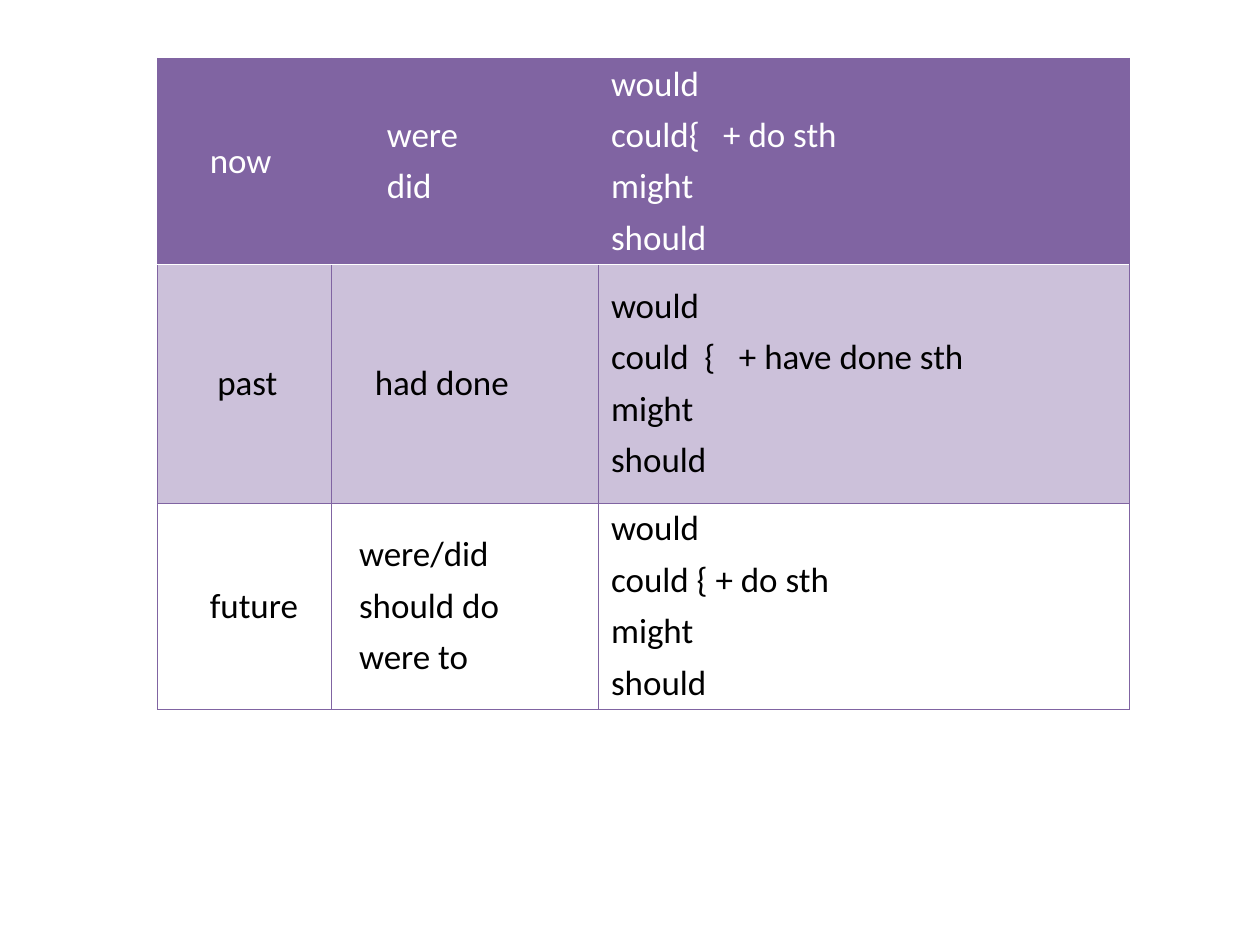
from lxml.etree import SubElement
from pptx import Presentation
from pptx.dml.color import RGBColor
from pptx.enum.text import MSO_ANCHOR, PP_ALIGN
from pptx.oxml.ns import qn
from pptx.util import Inches, Pt

# Content: each cell is (left indent, tab stops, lines)
PURPLE, LILAC, WHITE, BLACK = "8064A2", "CCC1DA", "FFFFFF", "000000"
CONDITIONALS = [
    [(0.63, [], ["now"]),
     (0.69, [], ["were", "did"]),
     (0, [1.78], ["would", "could{\t+ do sth", "might", "should"])],
    [(0.75, [], ["past"]),
     (0.5, [], ["had done"]),
     (0, [1.48, 2.03], ["would", "could\t{\t+ have done sth", "might", "should"])],
    [(0.63, [], ["future"]),
     (0.25, [], ["were/did", "should do", "were to"]),
     (0, [], ["would", "could { + do sth", "might", "should"])],
]
COLUMN_WIDTHS = [2.75, 4.25, 6.48, 1.94]
ROW_HEIGHTS = [3.28, 3.78, 3.28]
THIN, THICK = (PURPLE, 0.45), (WHITE, 1.47)
# Row look: fill, text colour, top border, bottom border
ROW_LOOKS = [(PURPLE, WHITE, THIN, THICK), (LILAC, BLACK, THICK, THIN), (None, BLACK, THIN, THIN)]
CELL_FORMAT = {
    "vertical_anchor": MSO_ANCHOR.MIDDLE,
    "margin_left": Inches(0.2), "margin_right": Inches(0.2),
    "margin_top": Inches(0.05), "margin_bottom": Inches(0.05),
}
FONT_FORMAT = {"name": "Calibri", "size": Pt(40), "bold": False}


def color(value):
    return RGBColor.from_string(value)


def apply_format(target, values):
    for name, value in values.items():
        setattr(target, name, value)


def set_borders(cell, top, bottom):
    properties = cell._tc.get_or_add_tcPr()
    sides = {"a:lnL": THIN, "a:lnR": THIN, "a:lnT": top, "a:lnB": bottom}
    for tag, (line_color, width) in sides.items():
        line = SubElement(properties, qn(tag), w=str(Pt(width)))
        fill = SubElement(line, qn("a:solidFill"))
        SubElement(fill, qn("a:srgbClr"), val=line_color)


def write_cell(cell, indent, stops, lines, text_color):
    frame = cell.text_frame
    for index, text in enumerate(lines):
        para = frame.paragraphs[0] if index == 0 else frame.add_paragraph()
        properties = para._p.get_or_add_pPr()
        properties.set("marL", str(Inches(indent)))
        if "\t" in text:
            tabs = SubElement(properties, qn("a:tabLst"))
            for stop in stops:
                SubElement(tabs, qn("a:tab"), pos=str(Inches(stop)), algn="l")
        para.alignment = PP_ALIGN.LEFT
        para.space_before = Pt(10 if index else 0)
        span = para.add_run()
        span.text = text
        apply_format(span.font, FONT_FORMAT)
        span.font.color.rgb = color(text_color)


# Page
deck = Presentation()
deck.slide_width, deck.slide_height = Inches(20), Inches(15)
page = deck.slides.add_slide(deck.slide_layouts[6])

# Table grid
table = page.shapes.add_table(
    len(ROW_HEIGHTS), len(COLUMN_WIDTHS), Inches(2.5), Inches(0.92),
    Inches(sum(COLUMN_WIDTHS)), Inches(sum(ROW_HEIGHTS))).table
apply_format(table, {"first_row": False, "horz_banding": False})
for column, width in zip(table.columns, COLUMN_WIDTHS):
    column.width = Inches(width)
for row, height in zip(table.rows, ROW_HEIGHTS):
    row.height = Inches(height)

# Cell looks and text
for row, contents, look in zip(table.rows, CONDITIONALS, ROW_LOOKS):
    fill_color, text_color, top, bottom = look
    for cell in row.cells:
        apply_format(cell, CELL_FORMAT)
        set_borders(cell, top, bottom)
        if fill_color:
            cell.fill.solid()
            cell.fill.fore_color.rgb = color(fill_color)
        else:
            cell.fill.background()
    for cell, (indent, stops, lines) in zip(row.cells, contents):
        write_cell(cell, indent, stops, lines, text_color)

# The last two columns join below the header
for index in (1, 2):
    table.cell(index, 2).merge(table.cell(index, 3))

deck.save("out.pptx")
